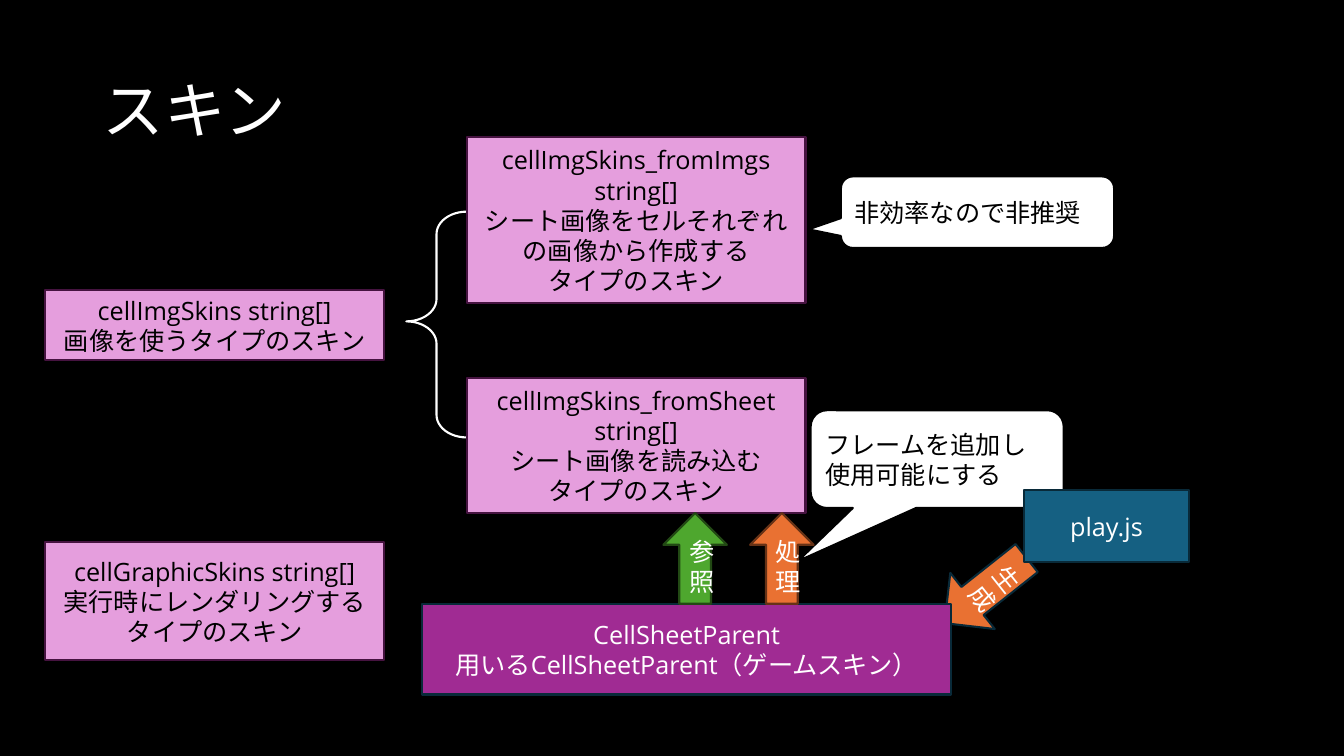
from pptx import Presentation
from pptx.dml.color import RGBColor
from pptx.enum.shapes import MSO_SHAPE
from pptx.enum.text import MSO_ANCHOR, PP_ALIGN
from pptx.util import Inches, Pt

RECT = MSO_SHAPE.RECTANGLE
BRACE = MSO_SHAPE.LEFT_BRACE
CALLOUT = MSO_SHAPE.ROUNDED_RECTANGULAR_CALLOUT
UP, DOWN = MSO_SHAPE.UP_ARROW, MSO_SHAPE.DOWN_ARROW
LEFT, CENTER = PP_ALIGN.LEFT, PP_ALIGN.CENTER
MIDDLE = MSO_ANCHOR.MIDDLE

BLACK = RGBColor(0x00, 0x00, 0x00)
WHITE = RGBColor(0xFF, 0xFF, 0xFF)
PINK = RGBColor(0xE5, 0x9E, 0xDD)
PLUM = RGBColor(0x46, 0x13, 0x40)
PURPLE = RGBColor(0xA0, 0x2B, 0x93)
TEAL = RGBColor(0x15, 0x60, 0x82)
NAVY = RGBColor(0x09, 0x2A, 0x39)
ORANGE = RGBColor(0xE9, 0x71, 0x32)
BROWN = RGBColor(0x66, 0x32, 0x16)
GREEN = RGBColor(0x4E, 0xA7, 0x2E)
FOREST = RGBColor(0x22, 0x49, 0x14)
FONT = "Open Sans"

# Content
TITLE = "スキン"
IMG_SKINS = ["cellImgSkins string[]", "画像を使うタイプのスキン"]
GRAPHIC_SKINS = ["cellGraphicSkins string[]", "実行時にレンダリングするタイプのスキン"]
FROM_SHEET = ["cellImgSkins_fromSheet string[]", "シート画像を読み込む", "タイプのスキン"]
FROM_IMGS = ["cellImgSkins_fromImgs string[]",
             "シート画像をセルそれぞれの画像から作成する", "タイプのスキン"]
SHEET_PARENT = ["CellSheetParent", "用いるCellSheetParent（ゲームスキン）"]
NOT_ADVISED = ["非効率なので非推奨"]
ADD_FRAMES = ["フレームを追加し", "使用可能にする"]

# Shared geometry
SKIN_W = 3.36
TYPE_X, SOURCE_X = 0.45, 4.63
SHEET_Y, SHEET_H = 3.75, 1.34
ARROW_Y = SHEET_Y + SHEET_H
ARROW_W, ARROW_H = 0.63, 0.9
PARENT_Y = ARROW_Y + ARROW_H
BRACE_W = 0.6

prs = Presentation()
prs.slide_width, prs.slide_height = Inches(13.33), Inches(7.5)
slide = prs.slides.add_slide(prs.slide_layouts[6])
slide.background.fill.solid()
slide.background.fill.fore_color.rgb = BLACK


def write(sp, lines, color, size=18, align=CENTER):
    tf = sp.text_frame
    tf.word_wrap = True
    tf.vertical_anchor = MIDDLE
    for i, line in enumerate(lines):
        p = tf.add_paragraph() if i else tf.paragraphs[0]
        p.alignment = align
        r = p.add_run()
        r.text = line
        r.font.name, r.font.size = FONT, Pt(size)
        r.font.color.rgb = color


def add_block(kind, x, y, w, h, lines, fill, line, color=WHITE, align=CENTER, adj=()):
    sp = slide.shapes.add_shape(kind, Inches(x), Inches(y), Inches(w), Inches(h))
    sp.shadow.inherit = False
    for i, value in enumerate(adj):
        sp.adjustments[i] = value
    if fill is None:
        sp.fill.background()
    else:
        sp.fill.solid()
        sp.fill.fore_color.rgb = fill
    sp.line.color.rgb = line
    sp.line.width = Pt(1.5)
    write(sp, lines, color, align=align)
    return sp


def add_skin(x, y, h, lines):
    add_block(RECT, x, y, SKIN_W, h, lines, PINK, PLUM, BLACK)


def add_callout(x, y, w, h, lines, tip):
    add_block(CALLOUT, x, y, w, h, lines, WHITE, BLACK, BLACK, LEFT, tip)


# Title
title = slide.shapes.add_textbox(Inches(0.92), Inches(0.4), Inches(11.5), Inches(1.45))
write(title, [TITLE], WHITE, 44, LEFT)
title.text_frame.paragraphs[0].line_spacing = 0.9

# Skin types and the two sources of image skins
add_skin(TYPE_X, 2.88, 0.69, IMG_SKINS)
add_skin(TYPE_X, 5.38, 1.17, GRAPHIC_SKINS)
add_block(BRACE, SOURCE_X - BRACE_W, 2.1, BRACE_W, 2.24, [], None, WHITE, adj=(0.371, 0.486))
add_skin(SOURCE_X, SHEET_Y, SHEET_H, FROM_SHEET)
add_skin(SOURCE_X, 1.36, 1.65, FROM_IMGS)

# Remarks and the creation arrow
add_callout(8.34, 1.75, 2.71, 0.71, NOT_ADVISED, (-0.619, 0.24))
create = add_block(DOWN, 9.42, 5.34, 0.71, 1.04, ["生成"], ORANGE, NAVY)
create.rotation = 51.6
add_callout(8.04, 4.07, 2.51, 0.97, ADD_FRAMES, (-0.551, 1.044))

# Sheet parent, its arrows to the sheet skin, and its creator
add_block(RECT, 4.19, PARENT_Y, 5.24, 0.9, SHEET_PARENT, PURPLE, NAVY)
for x, label, fill, line in [(6.58, "参照", GREEN, FOREST), (7.44, "処理", ORANGE, BROWN)]:
    add_block(UP, x, ARROW_Y, ARROW_W, ARROW_H, [label], fill, line)
add_block(RECT, 10.16, 4.86, 1.63, 0.72, ["play.js"], TEAL, NAVY)

prs.save("out.pptx")
